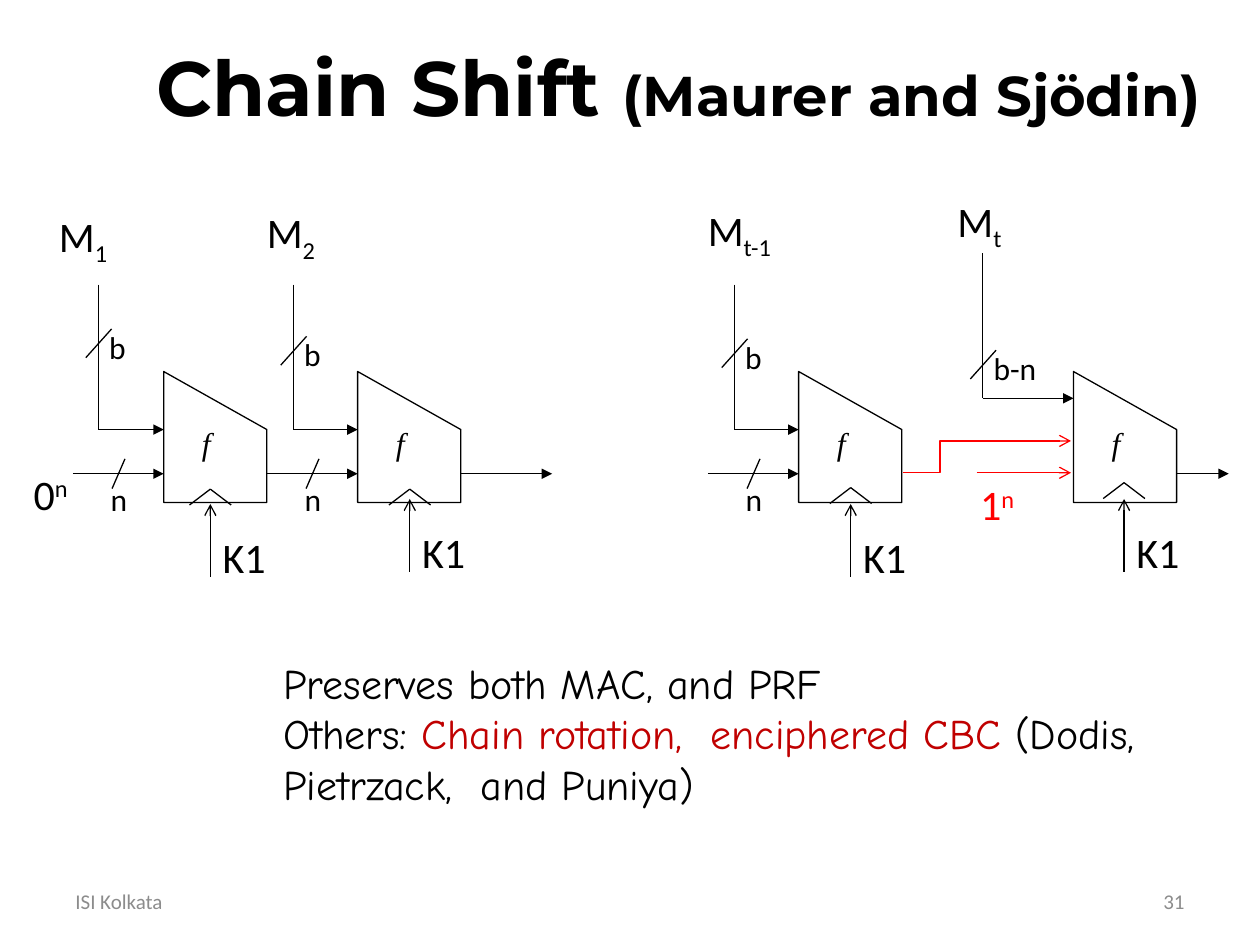
from collections import namedtuple

from lxml import etree
from pptx import Presentation
from pptx.dml.color import RGBColor
from pptx.enum import shapes, text
from pptx.oxml.ns import qn
from pptx.util import Cm, Pt

THEME = {
    "black": "000000", "red": "FF0000", "deep": "C00000", "grey": "8C8C8C",
    "head": "Montserrat", "body": "Comic Neue", "label": "Calibri",
    "math": "Times New Roman",
    "title": 44, "cite": 32, "large": 24, "small": 18, "foot": 12, "line": 0.75,
}

# All lengths are in centimetres.
Stage = namedtuple("Stage", "x sub name wire entry slash bits key peak tail")
STAGES = [
    Stage(3.30, "1", (0.94, 4.11, 1.52), 1.98, 8.66, 6.92, "b", 4.24, 9.86, 11.63),
    Stage(7.21, "2", (5.13, 4.04, 1.52), 5.91, 8.66, 7.07, "b", 8.26, 9.86, 11.53),
    Stage(16.10, "t-1", (14.02, 3.99, 1.90), 14.80, 8.66, 7.12, "b", 17.15, 9.83, 11.63),
    Stage(21.64, "t", (19.05, 3.81, 1.45), 19.81, 8.03, 7.35, "b-n", 22.66, 9.73, 11.53),
]
WIDE, TOP, SLOPE, BASE, CHAIN = 2.08, 7.49, 8.66, 10.13, 9.55
OUTPUTS = [(STAGES[1].x + WIDE, 11.13), (STAGES[3].x + WIDE, 24.77)]

TITLE = [("Chain Shift ", "title"), ("(Maurer and Sjödin)", "cite")]
NOTES = [
    [("Preserves both MAC, and PRF", "black")],
    [("Others: ", "black"),
     ("Chain rotation,  enciphered CBC ", "deep"),
     ("(Dodis, Pietrzack,  and Puniya)", "black")],
]
FOOT = [("ISI Kolkata", 1.27, text.PP_ALIGN.LEFT), ("31", 18.21, text.PP_ALIGN.RIGHT)]

deck = Presentation()
deck.slide_width, deck.slide_height = Cm(25.4), Cm(19.05)
slide = deck.slides.add_slide(deck.slide_layouts[5])


def paint(name):
    return RGBColor.from_string(THEME[name])


def write(para, words, size, color="black", font="label", shift=0):
    """Add one run; shift is the baseline offset in percent."""
    run = para.add_run()
    run.text = words
    run.font.size, run.font.name = Pt(THEME[size]), THEME[font]
    run.font.color.rgb = paint(color)
    if shift:
        run.font._element.set("baseline", str(shift * 1000))
    return run


def frame(x, y, wide, high, wrap=False):
    box = slide.shapes.add_textbox(Cm(x), Cm(y), Cm(wide), Cm(high)).text_frame
    box.word_wrap = wrap
    return box


def label(x, y, wide, words, size="large", extra="", shift=0, color="black"):
    """Place a one-line label with an optional raised or lowered part."""
    para = frame(x, y, wide, 1.28).paragraphs[0]
    write(para, words, size, color)
    if extra:
        write(para, extra, size, color, shift=shift)


def line(x1, y1, x2, y2, head=None, color="black", bend=None):
    """Draw a line; bend is the place of the elbow as a share of the width."""
    kind = shapes.MSO_CONNECTOR.STRAIGHT if bend is None else shapes.MSO_CONNECTOR.ELBOW
    wire = slide.shapes.add_connector(kind, Cm(x1), Cm(y1), Cm(x2), Cm(y2))
    wire.line.color.rgb, wire.line.width = paint(color), Pt(THEME["line"])
    props = wire._element.spPr
    if head:
        etree.SubElement(props.find(qn("a:ln")), qn("a:tailEnd"), type=head)
    if bend is not None:
        guides = props.find(qn("a:prstGeom")).get_or_add_avLst()
        etree.SubElement(guides, qn("a:gd"), name="adj1",
                         fmla=f"val {round(bend * 100000)}")
    etree.SubElement(props, qn("a:effectLst"))


def block(x):
    """Draw the trapezoid of the function f."""
    pen = slide.shapes.build_freeform(Cm(x), Cm(TOP))
    corners = [(x + WIDE, SLOPE), (x + WIDE, BASE), (x, BASE)]
    pen.add_line_segments([(Cm(a), Cm(b)) for a, b in corners], close=True)
    shape = pen.convert_to_shape()
    shape.shadow.inherit = False
    shape.fill.background()
    shape.line.color.rgb, shape.line.width = paint("black"), Pt(THEME["line"])
    para = frame(x + 0.52, 8.43, 0.84, 1.42).paragraphs[0]
    write(para, "f", "small", font="math").font.italic = True


def message(st):
    label(*st.name, "M", extra=st.sub, shift=-25)
    line(st.wire, st.entry - 2.92, st.wire, st.entry)
    line(st.wire, st.entry, st.x, st.entry, "triangle")
    line(st.wire + 0.27, st.slash - 0.29, st.wire - 0.25, st.slash + 0.29)
    wide = 1.07 if st.bits == "b" else 1.4
    label(st.wire - 0.03, st.slash - 0.44, wide, st.bits, "small")


def key(st):
    for side in (-0.42, 0.42):
        line(st.key + side, st.peak + 0.32, st.key, st.peak)
    line(st.key, st.tail, st.key, st.tail - 1.47, "arrow")
    label(st.key, st.tail - 1.05, 1.4, "K1")


def chain(st):
    line(st.x - 1.83, CHAIN, st.x, CHAIN, "triangle")
    line(st.x - 0.78, CHAIN - 0.3, st.x - 1.04, CHAIN + 0.3)
    label(st.x - 1.32, CHAIN, 1.07, "n", "small")


title = slide.shapes.title
title.left, title.top, title.width, title.height = Cm(1.96), Cm(0.13), Cm(23.44), Cm(3.18)
head = title.text_frame
head.word_wrap, head.auto_size = True, text.MSO_AUTO_SIZE.NONE
head.vertical_anchor = text.MSO_ANCHOR.MIDDLE
head.paragraphs[0].alignment = text.PP_ALIGN.CENTER
for words, size in TITLE:
    write(head.paragraphs[0], words, size, font="head").font.bold = True

for st in STAGES:
    block(st.x)
    message(st)
    key(st)
for st in STAGES[:3]:
    chain(st)
for start, end in OUTPUTS:
    line(start, CHAIN, end, CHAIN, "triangle")
label(0.43, 9.32, 1.24, "0", extra="n", shift=30)

line(18.21, 9.53, 21.59, 8.89, "arrow", "red", bend=0.22)
line(19.69, 9.53, 21.59, 9.53, "arrow", "red")
label(19.51, 9.53, 1.24, "1", extra="n", shift=30, color="red")

notes = frame(5.46, 13.13, 18.03, 3.33, wrap=True)
for i, parts in enumerate(NOTES):
    para = notes.add_paragraph() if i else notes.paragraphs[0]
    for words, color in parts:
        write(para, words, "large", color, "body")

for words, x, side in FOOT:
    foot = frame(x, 17.65, 5.92, 1.02, wrap=True)
    foot.vertical_anchor = text.MSO_ANCHOR.MIDDLE
    foot.paragraphs[0].alignment = side
    write(foot.paragraphs[0], words, "foot", "grey")

deck.save("out.pptx")
